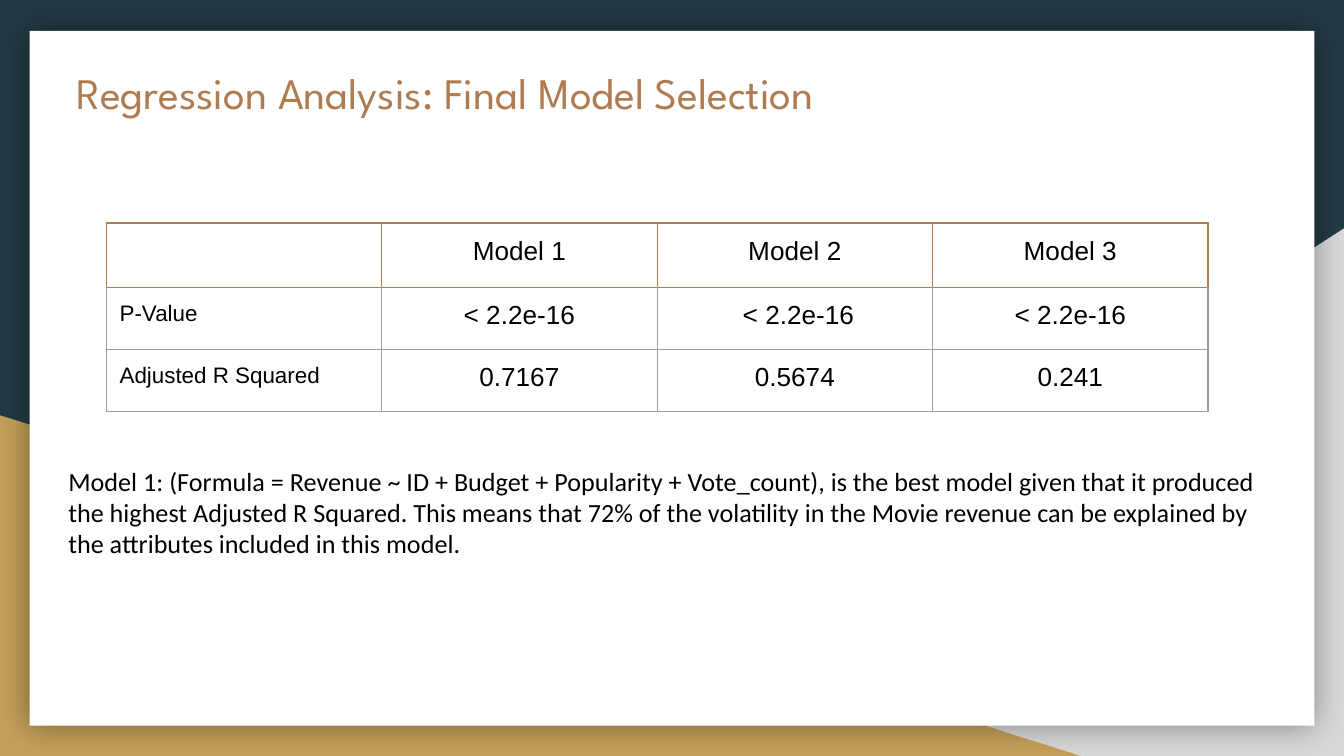
import dataclasses

import lxml.etree
import pptx
import pptx.dml.color
import pptx.enum.shapes
import pptx.enum.text
import pptx.oxml.ns
import pptx.util
from pptx.util import Inches

qn = pptx.oxml.ns.qn


@dataclasses.dataclass(frozen=True)
class Theme:
    navy: str = "233A44"
    gold: str = "C4A15A"
    light_gray: str = "D9D9D9"
    white: str = "FFFFFF"
    black: str = "000000"
    copper: str = "AF7B51"
    rule_gray: str = "9E9E9E"
    title_font: str = "League Spartan"
    table_font: str = "Arial"
    body_font: str = "Calibri"
    title_size: float = 23.3
    body_size: float = 14
    label_size: float = 12
    rule_width: float = 0.75


THEME = Theme()
SHAPES = pptx.enum.shapes.MSO_SHAPE
ALIGN = pptx.enum.text.PP_ALIGN
ROWS = [
    ["", "Model 1", "Model 2", "Model 3"],
    ["P-Value", "< 2.2e-16", " < 2.2e-16", "< 2.2e-16"],
    ["Adjusted R Squared", "0.7167", "0.5674", "0.241"],
]


def rgb(color):
    return pptx.dml.color.RGBColor.from_string(color)


def style_paragraph(paragraph, font_name, size, color):
    paragraph.font.name = font_name
    paragraph.font.size = pptx.util.Pt(size)
    paragraph.font.color.rgb = rgb(color)


def add_panel(slide, kind, left, top, width, height, color):
    shape = slide.shapes.add_shape(
        kind, Inches(left), Inches(top), Inches(width), Inches(height))
    shape.shadow.inherit = False
    shape.fill.solid()
    shape.fill.fore_color.rgb = rgb(color)
    shape.line.fill.background()
    return shape


def add_glow_shadow(shape, color, opacity, blur):
    effects = shape._element.spPr.find(qn("a:effectLst"))
    shadow = lxml.etree.SubElement(
        effects, qn("a:outerShdw"), blurRad=str(pptx.util.Pt(blur)),
        dist="0", dir="0", algn="ctr", rotWithShape="0")
    shade = lxml.etree.SubElement(shadow, qn("a:srgbClr"), val=color)
    lxml.etree.SubElement(shade, qn("a:alpha"), val=str(opacity * 1000))


def add_text(slide, left, top, width, height, text, font_name, size, color):
    box = slide.shapes.add_textbox(
        Inches(left), Inches(top), Inches(width), Inches(height))
    frame = box.text_frame
    frame.word_wrap = True
    frame.margin_left = frame.margin_right = Inches(0.1)
    frame.margin_top = frame.margin_bottom = Inches(0.1)
    paragraph = frame.paragraphs[0]
    paragraph.text = text
    style_paragraph(paragraph, font_name, size, color)


def set_borders(cell, colors):
    properties = cell._tc.get_or_add_tcPr()
    for position, (side, color) in enumerate(colors.items()):
        line = lxml.etree.Element(
            qn(f"a:ln{side}"), w=str(pptx.util.Pt(THEME.rule_width)))
        fill = lxml.etree.SubElement(line, qn("a:solidFill"))
        lxml.etree.SubElement(fill, qn("a:srgbClr"), val=color)
        properties.insert(position, line)


def fill_cell(cell, text, is_label):
    cell.fill.background()
    cell.margin_left = cell.margin_right = Inches(0.1)
    cell.margin_top = cell.margin_bottom = Inches(0.1)
    paragraph = cell.text_frame.paragraphs[0]
    paragraph.text = text
    paragraph.alignment = ALIGN.LEFT if is_label else ALIGN.CENTER
    size = THEME.label_size if is_label else THEME.body_size
    style_paragraph(paragraph, THEME.table_font, size, THEME.black)


def add_model_table(slide, left, top, column_width, row_heights):
    table = slide.shapes.add_table(
        len(ROWS), len(ROWS[0]), Inches(left), Inches(top),
        Inches(column_width * len(ROWS[0])), Inches(sum(row_heights))).table
    table.first_row = False
    table.horz_banding = False
    for column in table.columns:
        column.width = Inches(column_width)
    for row_index, texts in enumerate(ROWS):
        table.rows[row_index].height = Inches(row_heights[row_index])
        side_color = THEME.copper if row_index == 0 else THEME.rule_gray
        borders = dict.fromkeys("LRTB", side_color)
        if row_index == 1:
            borders["T"] = THEME.copper
        for column_index, text in enumerate(texts):
            cell = table.cell(row_index, column_index)
            fill_cell(cell, text, column_index == 0)
            set_borders(cell, borders)


def add_backdrop(slide):
    slide.background.fill.solid()
    slide.background.fill.fore_color.rgb = rgb(THEME.navy)
    gray_corner = add_panel(
        slide, SHAPES.RIGHT_TRIANGLE, 3.92, 1.7, 6.08, 3.93, THEME.light_gray)
    gray_corner._element.spPr.get_or_add_xfrm().set("flipH", "1")
    add_panel(slide, SHAPES.RIGHT_TRIANGLE, 0, 3.09, 8.06, 2.54, THEME.gold)
    card = add_panel(
        slide, SHAPES.RECTANGLE, 0.22, 0.23, 9.56, 5.17, THEME.white)
    add_glow_shadow(card, THEME.black, opacity=40, blur=18)


def main():
    presentation = pptx.Presentation()
    presentation.slide_width = Inches(10)
    presentation.slide_height = Inches(10 * 9 / 16)
    slide = presentation.slides.add_slide(presentation.slide_layouts[6])
    add_backdrop(slide)
    add_text(slide, 0.47, 0.39, 7.03, 0.77,
             "Regression Analysis: Final Model Selection",
             THEME.title_font, THEME.title_size, THEME.copper)
    add_model_table(slide, 0.79, 1.66, 2.05, [0.48, 0.46, 0.46])
    add_text(slide, 0.41, 3.36, 9.12, 1.14,
             "Model 1: (Formula = Revenue ~ ID + Budget + Popularity + "
             "Vote_count), is the best model given that it produced the "
             "highest Adjusted R Squared. This means that 72% of the "
             "volatility in the Movie revenue can be explained by the "
             "attributes included in this model.",
             THEME.body_font, THEME.body_size, THEME.black)
    presentation.save("out.pptx")


if __name__ == "__main__":
    main()
